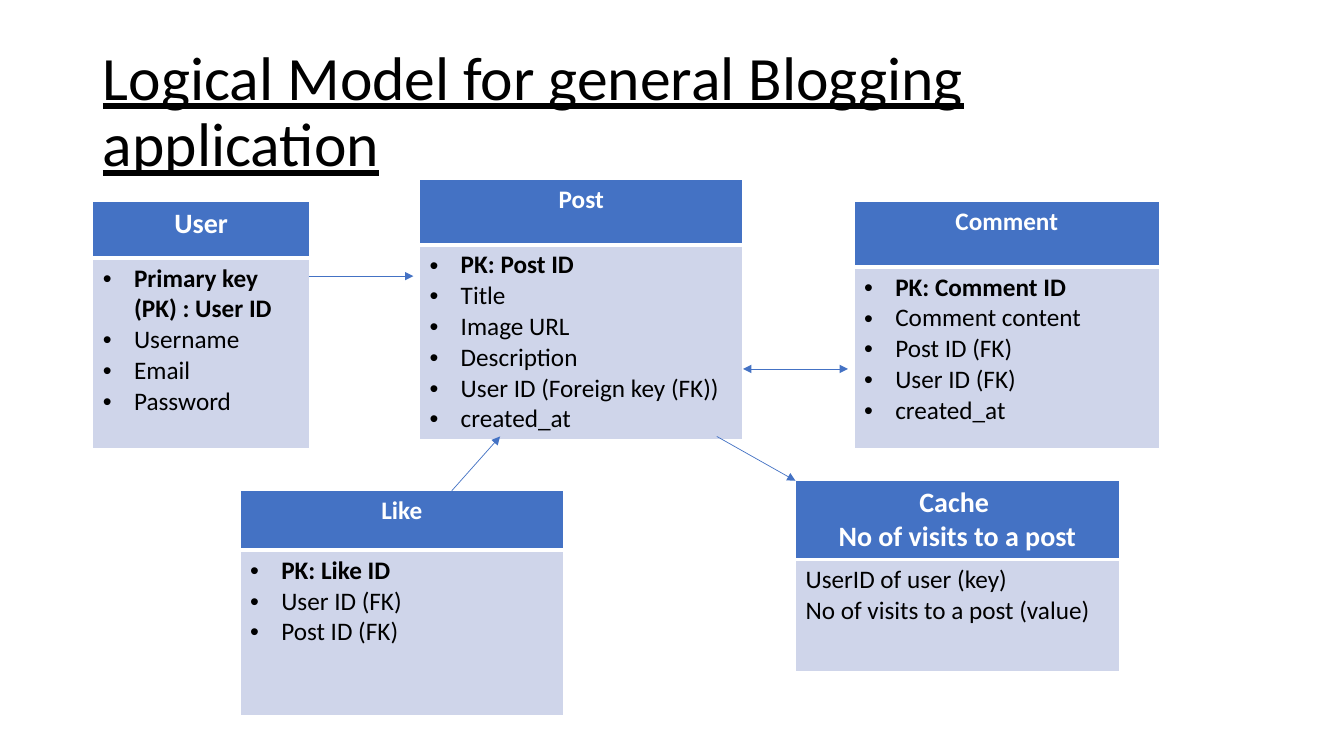
from lxml import etree
from pptx import Presentation
from pptx.dml.color import RGBColor
from pptx.enum.shapes import MSO_CONNECTOR
from pptx.enum.text import MSO_ANCHOR, MSO_AUTO_SIZE, PP_ALIGN
from pptx.oxml.ns import qn
from pptx.util import Inches, Pt

FONT = "Calibri"
BLUE, PALE, WHITE, BLACK = "4472C4", "CFD5EA", "FFFFFF", "000000"

ENTITIES = [
    (0.92, 2, 2.15, (0.56, 1.89), 20, ["User"],
     ["Primary key (PK) : User ID ", "Username", "Email", "Password"], True),
    (4.16, 1.78, 3.21, (0.65, 1.8), 18, ["Post"],
     ["PK: Post ID", "Title", "Image URL", "Description",
      "User ID (Foreign key (FK))", "created_at"], True),
    (8.47, 2, 3.03, (0.65, 1.8), 18, ["Comment"],
     ["PK: Comment ID", "Comment content", "Post ID (FK)", "User ID (FK) ",
      "created_at"], True),
    (2.38, 4.87, 3.21, (0.59, 1.64), 18, ["Like"],
     ["PK: Like ID", "User ID (FK)", "Post ID (FK) "], True),
    (7.89, 4.77, 3.21, (0.6, 1.11), 20, ["Cache ", "No of visits to a post"],
     ["UserID of user (key) ", "No of visits to a post (value)"], False),
]

RELATIONS = [
    ((3.06, 2.74), (4.1, 2.74), ["tailEnd"]),
    ((4.48, 4.87), (4.96, 4.33), ["tailEnd"]),
    ((7.37, 3.66), (8.41, 3.66), ["headEnd", "tailEnd"]),
    ((7.11, 4.33), (7.89, 4.77), ["tailEnd"]),
]


def color(hex_code):
    """Turn a hex string into a colour."""
    return RGBColor.from_string(hex_code)


def style_run(run, size, hex_code, bold=False):
    """Set the font of one run."""
    run.font.name, run.font.size, run.font.bold = FONT, Pt(size), bold
    run.font.color.rgb = color(hex_code)


def add_title(slide, text):
    """Fill and place the underlined title."""
    title = slide.shapes.title
    title.left, title.top = Inches(0.92), Inches(0.4)
    title.width, title.height = Inches(11.5), Inches(1.45)
    frame = title.text_frame
    frame.word_wrap, frame.auto_size = True, MSO_AUTO_SIZE.NONE
    frame.vertical_anchor = MSO_ANCHOR.MIDDLE
    paragraph = frame.paragraphs[0]
    paragraph.alignment, paragraph.line_spacing = PP_ALIGN.LEFT, 0.9
    run = paragraph.add_run()
    run.text = text
    style_run(run, 44, BLACK)
    run.font.underline = True


def add_bullet(paragraph):
    """Give a paragraph a round bullet with a hanging indent."""
    properties = paragraph._p.get_or_add_pPr()
    properties.set("marL", str(Inches(0.31)))
    properties.set("indent", str(-Inches(0.31)))
    etree.SubElement(properties, qn("a:buFont"), typeface="Arial")
    etree.SubElement(properties, qn("a:buChar"), char="•")


def format_cell(cell, fill, bottom_width):
    """Fill a cell and draw its white borders."""
    cell.fill.solid()
    cell.fill.fore_color.rgb = color(fill)
    properties = cell._tc.get_or_add_tcPr()
    sides = (("lnL", 1), ("lnR", 1), ("lnT", 1), ("lnB", bottom_width))
    for position, (side, width) in enumerate(sides):
        border = etree.Element(qn("a:" + side), w=str(Pt(width)))
        solid = etree.SubElement(border, qn("a:solidFill"))
        etree.SubElement(solid, qn("a:srgbClr"), val=WHITE)
        properties.insert(position, border)


def write_lines(cell, lines, size, hex_code, bold_count, bulleted, alignment):
    """Write one paragraph per line, the first bold_count of them bold."""
    frame = cell.text_frame
    for index, line in enumerate(lines):
        paragraph = frame.add_paragraph() if index else frame.paragraphs[0]
        paragraph.alignment = alignment
        if bulleted:
            add_bullet(paragraph)
        run = paragraph.add_run()
        run.text = line
        style_run(run, size, hex_code, index < bold_count)


def add_entity(slide, left, top, width, rows, size, heading, fields, bulleted):
    """Add an entity as a table with a heading and its fields."""
    table = slide.shapes.add_table(
        2, 1, Inches(left), Inches(top), Inches(width), Inches(sum(rows))).table
    table.horz_banding = False
    for row, height in zip(table.rows, rows):
        row.height = Inches(height)
    head, body = table.cell(0, 0), table.cell(1, 0)
    format_cell(head, BLUE, 3)
    format_cell(body, PALE, 1)
    write_lines(head, heading, size, WHITE, len(heading), False, PP_ALIGN.CENTER)
    write_lines(body, fields, 18, BLACK, int(bulleted), bulleted, PP_ALIGN.LEFT)


def add_relation(slide, start, end, arrowheads):
    """Add a thin arrow between two entities."""
    points = [Inches(value) for value in start + end]
    arrow = slide.shapes.add_connector(MSO_CONNECTOR.STRAIGHT, *points)
    arrow.line.color.rgb = color(BLUE)
    arrow.line.width = Pt(0.5)
    line = arrow.line._get_or_add_ln()
    for arrowhead in arrowheads:
        etree.SubElement(line, qn("a:" + arrowhead), type="triangle")
    etree.SubElement(arrow._element.spPr, qn("a:effectLst"))


def main():
    """Build the slide and save it."""
    deck = Presentation()
    deck.slide_width, deck.slide_height = Inches(13.33), Inches(7.5)
    slide = deck.slides.add_slide(deck.slide_layouts[5])
    add_title(slide, "Logical Model for general Blogging application")
    for entity in ENTITIES:
        add_entity(slide, *entity)
    for relation in RELATIONS:
        add_relation(slide, *relation)
    deck.save("out.pptx")


main()
